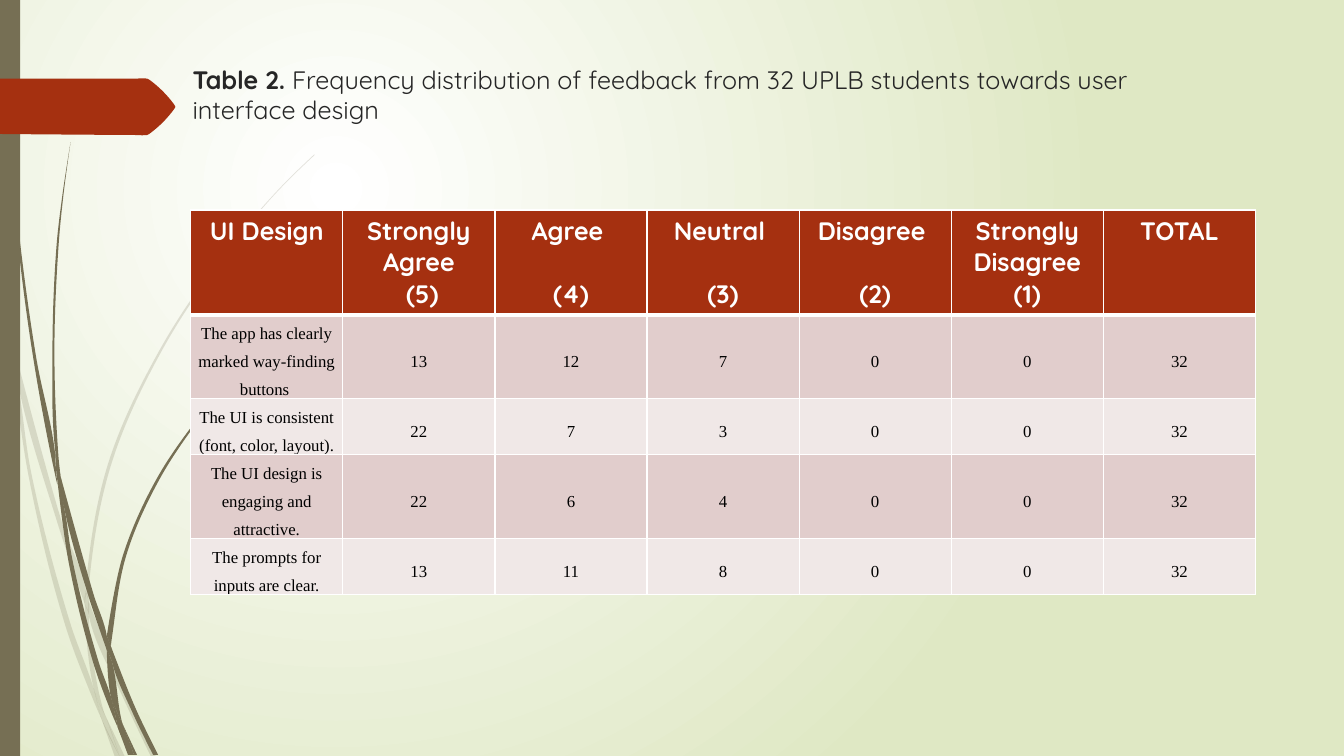
"""Build a slide with a table of student feedback on user interface design."""
import math
from dataclasses import dataclass

from lxml import etree
from pptx import Presentation
from pptx import util as u
from pptx.dml import color
from pptx.enum import shapes, text
from pptx.oxml import ns

Pt = u.Pt
HUES = {"rust": "A53010", "moss": "766F54", "pink": "E1CDCC", "pale": "F0E8E7",
        "white": "FFFFFF", "lime": "DFE8C4", "ink": "262626", "black": "000000"}
SANS, SERIF = "Quicksand", "Times New Roman"
UNIT, FINE, BEND = Pt(0.72), 100, 0.85
Spot = tuple[float, float]


@dataclass
class Row:
    """One statement and its counts of answers."""
    claim: str
    counts: list[int]
    height: float


FAINT = [
    [(11, 350), (9, 322), (0, 282), (0, 299), (10, 344)],
    [(58, 522), (84, 599), (85, 586), (62, 520), (14, 345), (17, 376)],
    [(92, 607), (88, 596), (88, 610), (123, 694), (150, 751), (155, 751), (127, 692)],
    [(119, 751), (124, 751), (105, 711)],
    [(93, 683), (70, 619), (31, 469), (17, 376), (11, 350), (28, 470), (65, 621),
     (92, 693), (101, 714), (99, 707)],
    [(84, 599), (87, 646), (93, 683), (96, 692), (105, 711), (103, 706), (91, 646),
     (88, 610), (88, 608)],
    [(88, 584), (110, 462), (160, 349), (229, 245), (268, 198), (290, 175), (312, 154),
     (312, 153), (289, 175), (268, 197), (228, 244), (158, 348), (107, 461), (85, 584),
     (85, 586), (88, 596)],
    [(101, 714), (114, 751), (119, 751)],
    [(88, 608), (88, 610), (88, 596), (85, 586), (84, 599)],
    [(96, 692), (93, 683), (99, 707), (101, 714), (119, 751), (105, 711)],
]
BOLD = [
    [(7, 110), (17, 233), (33, 355), (56, 477), (57, 481), (55, 457), (55, 453), (36, 355),
     (19, 232), (8, 109), (5, 48), (4, 0), (3, 0), (4, 48)],
    [(88, 592), (106, 645), (106, 633), (106, 631), (93, 590), (60, 472), (64, 505)],
    [(113, 649), (110, 641), (111, 656), (132, 708), (152, 749), (157, 749), (136, 706)],
    [(110, 691), (98, 657), (72, 556), (64, 505), (57, 477), (68, 557), (93, 659),
     (111, 708), (117, 722), (116, 717)],
    [(60, 472), (58, 453), (54, 349), (58, 245), (63, 193), (70, 141), (62, 193),
     (56, 245), (52, 349), (55, 449)],
    [(133, 749), (136, 749), (122, 719)],
    [(57, 477), (64, 505), (60, 472), (55, 449), (55, 453)],
    [(111, 633), (125, 552), (158, 476), (205, 406), (231, 374), (245, 359), (261, 344),
     (260, 344), (245, 358), (231, 373), (204, 405), (156, 474), (122, 551), (106, 631),
     (110, 641)],
    [(117, 722), (127, 749), (131, 749)],
    [(106, 645), (110, 691), (116, 706), (122, 719), (121, 716), (111, 656), (109, 651)],
    [(106, 645), (109, 651), (111, 656), (110, 641), (106, 631), (106, 633)],
    [(116, 706), (110, 691), (116, 717), (117, 722), (130, 749), (133, 749), (122, 719)],
]
TAG = [(173, 108), (148, 133), (146, 134), (136, 134), (0, 133), (0, 78), (136, 78),
       (146, 78), (148, 79), (173, 104), (174, 106)]
HEADS = [["UI Design"], ["Strongly Agree", " (5)"], ["Agree ", "(4)"], ["Neutral ", "(3)"],
         ["Disagree ", "(2)"], ["Strongly Disagree (1)"], ["TOTAL"]]
ROWS = [
    Row("The app has clearly marked way-finding buttons ", [13, 12, 7, 0, 0], 60),
    Row("The UI is consistent (font, color, layout).", [22, 7, 3, 0, 0], 40),
    Row("The UI design is engaging and attractive.", [22, 6, 4, 0, 0], 60),
    Row("The prompts for inputs are clear.", [13, 11, 8, 0, 0], 40),
]


def hue(name: str) -> color.RGBColor:
    """Look up a colour."""
    return color.RGBColor.from_string(HUES[name])


def paint(shape, name: str) -> None:
    """Give a shape a flat fill, no line and no shadow."""
    shape.fill.solid()
    shape.fill.fore_color.rgb = hue(name)
    shape.line.fill.background()
    shape.shadow.inherit = False


def style(font, face: str, size: float, name: str, bold: bool) -> None:
    """Set the look of a font."""
    font.name, font.size, font.bold = face, Pt(size), bold
    font.color.rgb = hue(name)


def aim(a: Spot, b: Spot, c: Spot) -> Spot:
    """Find the heading of a curve at b, or nothing at a corner."""
    ways = [((q[0] - p[0]) / math.dist(p, q), (q[1] - p[1]) / math.dist(p, q))
            for p, q in ((a, b), (b, c))]
    if ways[0][0] * ways[1][0] + ways[0][1] * ways[1][1] < BEND:
        return 0, 0
    return (ways[0][0] + ways[1][0]) / 2, (ways[0][1] + ways[1][1]) / 2


def draw(slide, spots: list[Spot], name: str, clear: int = 100) -> None:
    """Draw a closed outline with smooth sides."""
    edge = [(x * FINE, y * FINE) for x, y in spots]
    pen = slide.shapes.build_freeform(*edge[0], scale=UNIT / FINE)
    pen.add_line_segments(edge[1:] + edge[:1], close=True)
    shape = pen.convert_to_shape()
    paint(shape, name)
    left, top = min(x for x, _ in edge), min(y for _, y in edge)
    size = len(edge)
    aims = [aim(edge[n - 1], edge[n], edge[(n + 1) % size]) for n in range(size)]
    for num, line in enumerate(list(shape.element.spPr.iter(ns.qn("a:lnTo")))):
        end = (num + 1) % size
        span = math.dist(edge[num], edge[end]) / 3
        line.tag = ns.qn("a:cubicBezTo")
        for slot, (spot, sign) in enumerate(((num, 1), (end, -1))):
            pull = etree.Element(ns.qn("a:pt"))
            pull.set("x", str(round(edge[spot][0] + sign * span * aims[spot][0] - left)))
            pull.set("y", str(round(edge[spot][1] + sign * span * aims[spot][1] - top)))
            line.insert(slot, pull)
    if clear < 100:
        tint = next(shape.element.spPr.iter(ns.qn("a:srgbClr")))
        etree.SubElement(tint, ns.qn("a:alpha")).set("val", str(clear * 1000))


def back(slide) -> None:
    """Set the round gradient of the background."""
    fill = slide.background.fill
    fill.gradient()
    for stop, name in zip(fill.gradient_stops, ("white", "lime")):
        stop.color.rgb = hue(name)
    grad = next(slide.element.iter(ns.qn("a:gradFill")))
    grad.remove(grad.find(ns.qn("a:lin")))
    ring = etree.SubElement(grad, ns.qn("a:path"))
    ring.set("path", "circle")
    spot = etree.SubElement(ring, ns.qn("a:fillToRect"))
    for side, share in zip("ltrb", (50, 50, 100, 100)):
        spot.set(side, str(share * 1000))


def frame(cell, name: str, foot: float = 1) -> None:
    """Fill a cell and draw its white borders."""
    cell.fill.solid()
    cell.fill.fore_color.rgb = hue(name)
    props = cell._tc.get_or_add_tcPr()
    for spot, side in enumerate("LRTB"):
        line = etree.Element(ns.qn(f"a:ln{side}"))
        line.set("w", str(Pt(foot if side == "B" else 1)))
        solid = etree.SubElement(line, ns.qn("a:solidFill"))
        etree.SubElement(solid, ns.qn("a:srgbClr")).set("val", HUES["white"])
        props.insert(spot, line)


def head(cell, lines: list[str]) -> None:
    """Write a heading cell."""
    frame(cell, "rust", 3)
    cell.text = "\n".join(lines)
    for para in cell.text_frame.paragraphs:
        para.alignment = text.PP_ALIGN.CENTER
        style(para.font, SANS, 18, "white", True)
    if len(lines) > 1 and " " not in lines[0].strip():
        para.space_before = Pt(22.5)


def entry(cell, words: str, name: str, mid: bool) -> None:
    """Write a body cell."""
    frame(cell, name)
    cell.margin_left = cell.margin_right = Pt(5)
    cell.margin_top = cell.margin_bottom = 0
    cell.vertical_anchor = text.MSO_ANCHOR.MIDDLE if mid else text.MSO_ANCHOR.TOP
    cell.text = words
    para = cell.text_frame.paragraphs[0]
    para.alignment, para.line_spacing = text.PP_ALIGN.CENTER, 1.5
    style(para.font, SERIF, 12, "black", False)


def grid(slide) -> None:
    """Draw the table of answers."""
    table = slide.shapes.add_table(len(ROWS) + 1, len(HEADS), Pt(136.2), Pt(150),
                                   Pt(760.7), Pt(274.5)).table
    table.rows[0].height = Pt(74.5)
    for col, lines in enumerate(HEADS):
        table.columns[col].width = Pt(760.7 / len(HEADS))
        head(table.cell(0, col), lines)
    for num, row in enumerate(ROWS, 1):
        table.rows[num].height = Pt(row.height)
        for col, item in enumerate([row.claim, *row.counts, sum(row.counts)]):
            entry(table.cell(num, col), str(item), "pink" if num % 2 else "pale", col > 0)


def title(slide) -> None:
    """Write the caption in the title placeholder."""
    shape = slide.shapes.title
    shape.left, shape.top, shape.width, shape.height = map(Pt, (130.3, 42.5, 702, 101))
    body = shape.text_frame
    body.word_wrap, body.auto_size = True, text.MSO_AUTO_SIZE.NONE
    body.vertical_anchor = text.MSO_ANCHOR.TOP
    para = body.paragraphs[0]
    para.alignment = text.PP_ALIGN.LEFT
    for words, bold in (("Table 2. ", True), ("Frequency distribution of feedback from 32 UPLB "
                        "students towards user interface design", False)):
        run = para.add_run()
        run.text = words
        style(run.font, SANS, 18, "ink", bold)


deck = Presentation()
deck.slide_width, deck.slide_height = Pt(960), Pt(540)
slide = deck.slides.add_slide(deck.slide_layouts[5])
back(slide)
for blades, clear in ((FAINT, 20), (BOLD, 100)):
    for blade in blades:
        draw(slide, blade, "moss", clear)
bar = slide.shapes.add_shape(shapes.MSO_SHAPE.RECTANGLE, 0, 0, Pt(14.4), Pt(540))
paint(bar, "moss")
draw(slide, TAG, "rust")
grid(slide)
title(slide)
deck.save("out.pptx")
